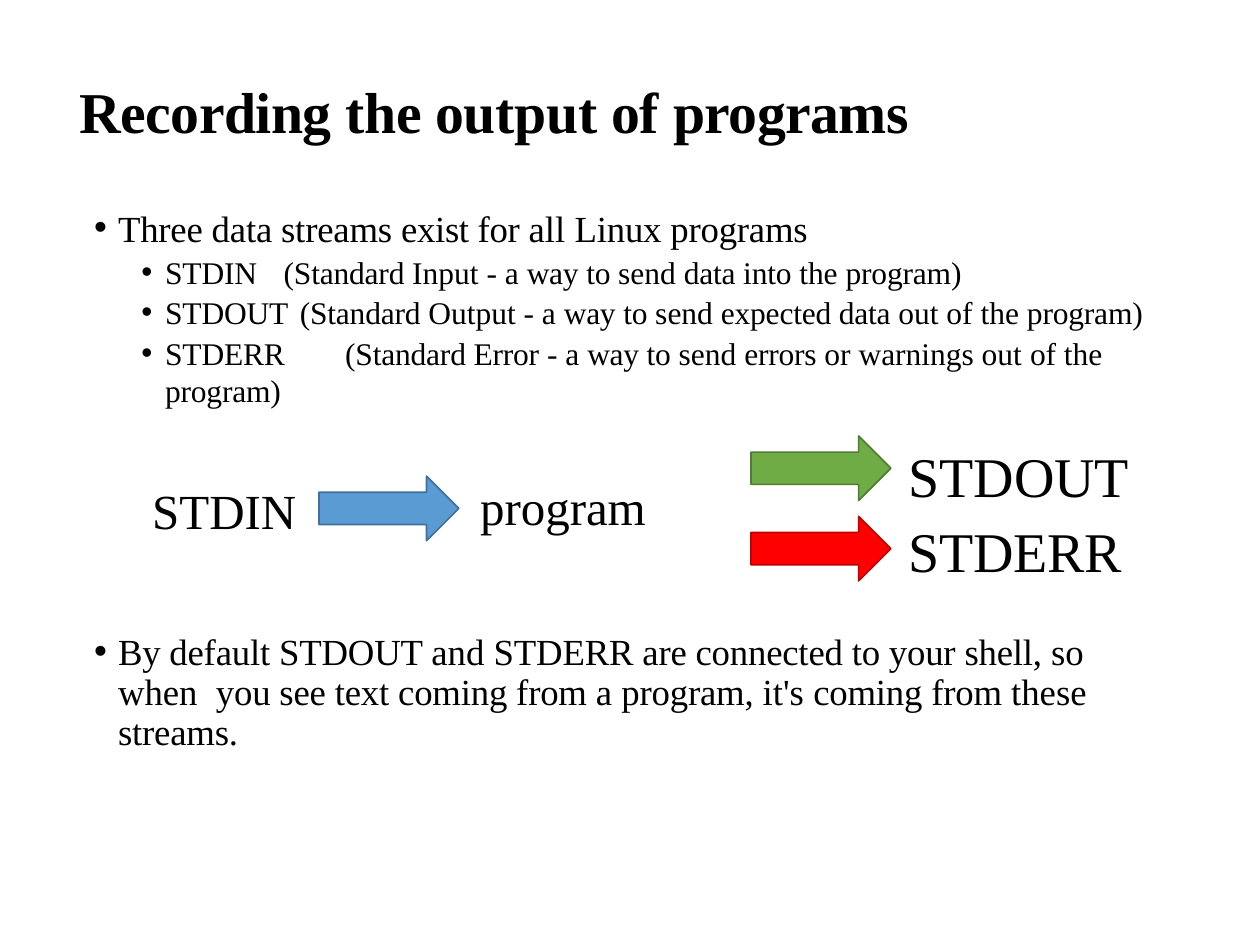
import pptx
import pptx.dml.color
import pptx.enum.shapes
import pptx.enum.text
import pptx.oxml.ns
import pptx.util
from lxml import etree

Cm = pptx.util.Cm
Pt = pptx.util.Pt
RGB = pptx.dml.color.RGBColor.from_string
qn = pptx.oxml.ns.qn

COLORS = {
    "text": "000000",
    "stdin": "5B9BD4", "stdin_line": "41709C",
    "stdout": "6FAC46", "stdout_line": "507D31",
    "stderr": "FF0000", "stderr_line": "C00000",
}
FONT = "Times New Roman"


def setup_frame(sp, top):
    tf = sp.text_frame
    tf.word_wrap = True
    tf.auto_size = pptx.enum.text.MSO_AUTO_SIZE.NONE
    tf.vertical_anchor = pptx.enum.text.MSO_ANCHOR.TOP
    tf.margin_left = tf.margin_right = tf.margin_bottom = 0
    tf.margin_top = Cm(top)
    return tf


def add_runs(p, runs, size, bold=False, indent=None, tabs=()):
    p.alignment = pptx.enum.text.PP_ALIGN.LEFT
    if indent:
        pPr = p._p.get_or_add_pPr()
        pPr.set("marL", str(Cm(indent)))
        pPr.set("indent", str(-Cm(0.48)))
        etree.SubElement(pPr, qn("a:buFont"), typeface="Arial")
        etree.SubElement(pPr, qn("a:buChar"), char="•")
        tab_list = etree.SubElement(pPr, qn("a:tabLst"))
        for tab in (indent, *tabs):
            etree.SubElement(tab_list, qn("a:tab"), pos=str(Cm(tab)), algn="l")
    for text, spacing in runs:
        r = p.add_run()
        r.text = text
        r.font.name = FONT
        r.font.size = Pt(size)
        r.font.bold = bold
        r.font.color.rgb = RGB(COLORS["text"])
        r._r.get_or_add_rPr().set("spc", str(round(spacing * 100)))


prs = pptx.Presentation()
prs.slide_width = Cm(25.4)
prs.slide_height = Cm(19.05)
s = prs.slides.add_slide(prs.slide_layouts[5])

title = s.shapes.title
title.left, title.top, title.width, title.height = Cm(1.6), Cm(1.47), Cm(18.95), Cm(1.45)
tf = setup_frame(title, 0.05)
add_runs(tf.paragraphs[0],
         [("Recording ", -0.3), ("the output of ", -0.2), ("programs", -0.3)], 33, bold=True)

streams = [
    (1.8, [3.84], [("STDIN\t(Standard ", -0.1), ("Input - a ", 0), ("way", -0.2), (" to ", -0.1),
                   ("send ", 0), ("data into ", -0.1), ("the ", 0), ("program)", -0.1)]),
    (1.6, [], [("STDOUT", -0.1), (" ", 2), ("(Standard ", -0.1), ("Output - a ", 0),
               ("way ", -0.2), ("to ", -0.1), ("send ", 0), ("expected data ", -0.1),
               ("out of the ", 0), ("program)", -0.1)]),
    (1.5, [5.08], [("STDERR\t(Standard Error", -0.1), (" - a ", 0), ("way ", -0.2), ("to ", -0.1),
                   ("send ", 0), ("errors ", -0.1), ("or warnings out ", 0), ("of", -0.1),
                   (" the ", 0), ("program)", -0.1)]),
]
body = s.shapes.add_textbox(Cm(1.88), Cm(3.94), Cm(21.92), Cm(4.29))
tf = setup_frame(body, 0.2)
add_runs(tf.paragraphs[0],
         [("Three data streams ", -0.1), ("exist for ", -0.2), ("all ", 0),
          ("Linux programs", -0.1)], 21, indent=0.5)
for before, tabs, runs in streams:
    p = tf.add_paragraph()
    p.level = 1
    add_runs(p, runs, 18, indent=1.45, tabs=tabs)
    p.space_before = Pt(before)

note = s.shapes.add_textbox(Cm(1.88), Cm(12.52), Cm(21.21), Cm(2.59))
tf = setup_frame(note, 0.25)
p = tf.paragraphs[0]
add_runs(p, [("By default STDOUT ", -0.1), ("and ", 0),
             ("STDERR are connected to your shell, ", -0.1), ("so when  ", 0),
             ("you see text coming from ", -0.1), ("a ", 0), ("program, ", -0.1), ("it's ", 0),
             ("coming from ", -0.1), ("these ", 0), ("streams.", -0.1)], 21, indent=0.5)
p.line_spacing = Pt(22.7)

for name, x, y in [("stdin", 6.43, 9.6), ("stderr", 15.14, 10.41), ("stdout", 15.14, 8.79)]:
    arrow = s.shapes.add_shape(pptx.enum.shapes.MSO_SHAPE.RIGHT_ARROW,
                               Cm(x), Cm(y), Cm(2.82), Cm(1.3))
    arrow.shadow.inherit = False
    arrow.fill.solid()
    arrow.fill.fore_color.rgb = RGB(COLORS[name])
    arrow.line.color.rgb = RGB(COLORS[name + "_line"])
    arrow.line.width = Pt(0.96)

labels = [
    (3.07, 9.63, 3.18, 1.22, 28, 1, [[("S", -0.3), ("TDIN", 0)]]),
    (9.68, 9.55, 4.45, 1.22, 28, 1, [[("p", 0), ("r", -0.6), ("og", 0), ("r", -0.8), ("am", 0)]]),
    (18.31, 8.69, 5.51, 2.97, 32, 1.12, [[("S", -0.3), ("TDOUT", 0)], [("STDERR", -0.1)]]),
]
for x, y, w, h, size, spacing, lines in labels:
    label = s.shapes.add_textbox(Cm(x), Cm(y), Cm(w), Cm(h))
    tf = setup_frame(label, 0.05)
    for i, runs in enumerate(lines):
        p = tf.add_paragraph() if i else tf.paragraphs[0]
        add_runs(p, runs, size)
        p.line_spacing = spacing

prs.save("out.pptx")
